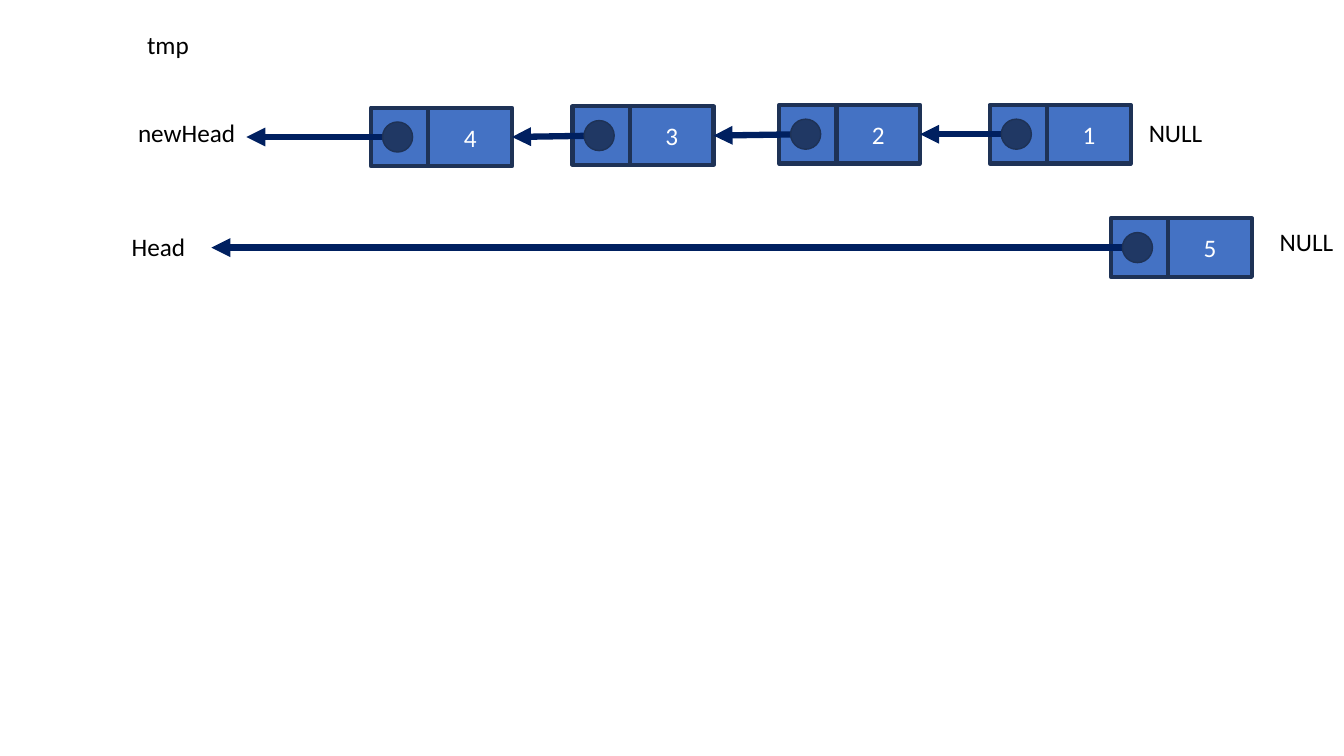
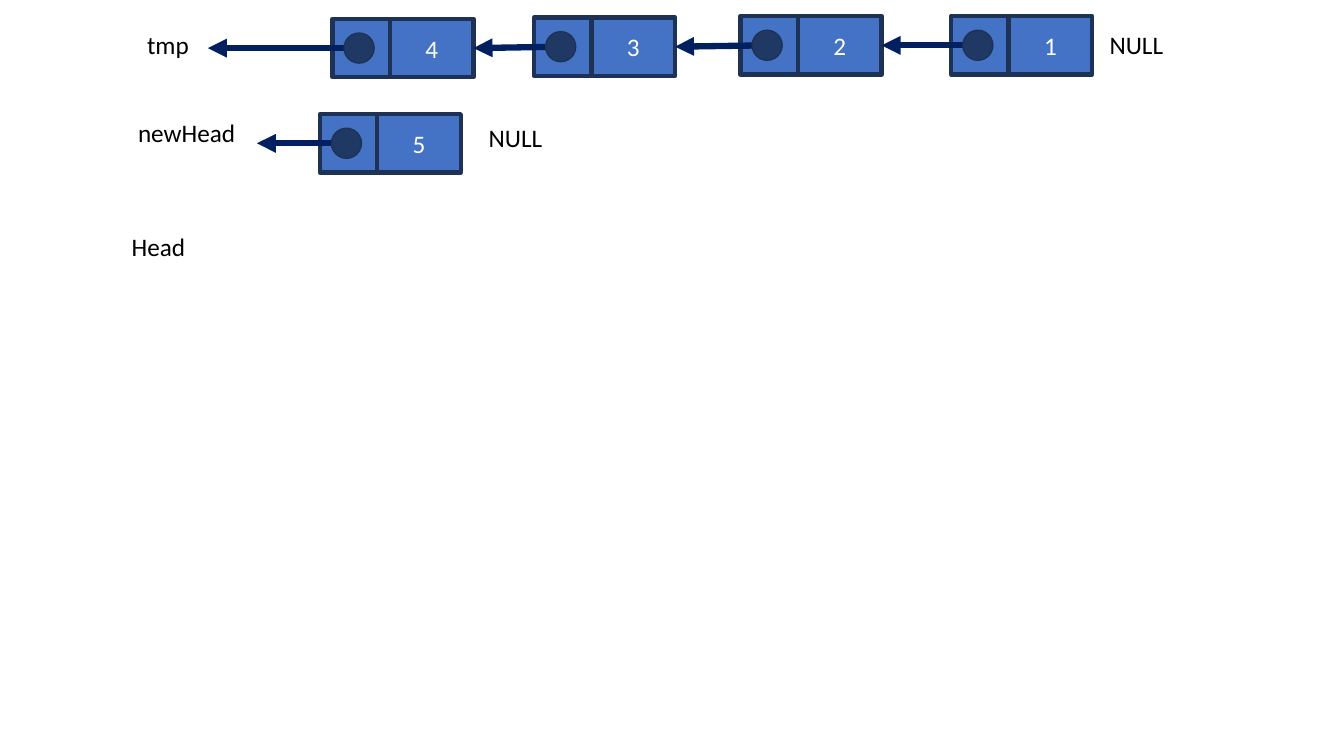
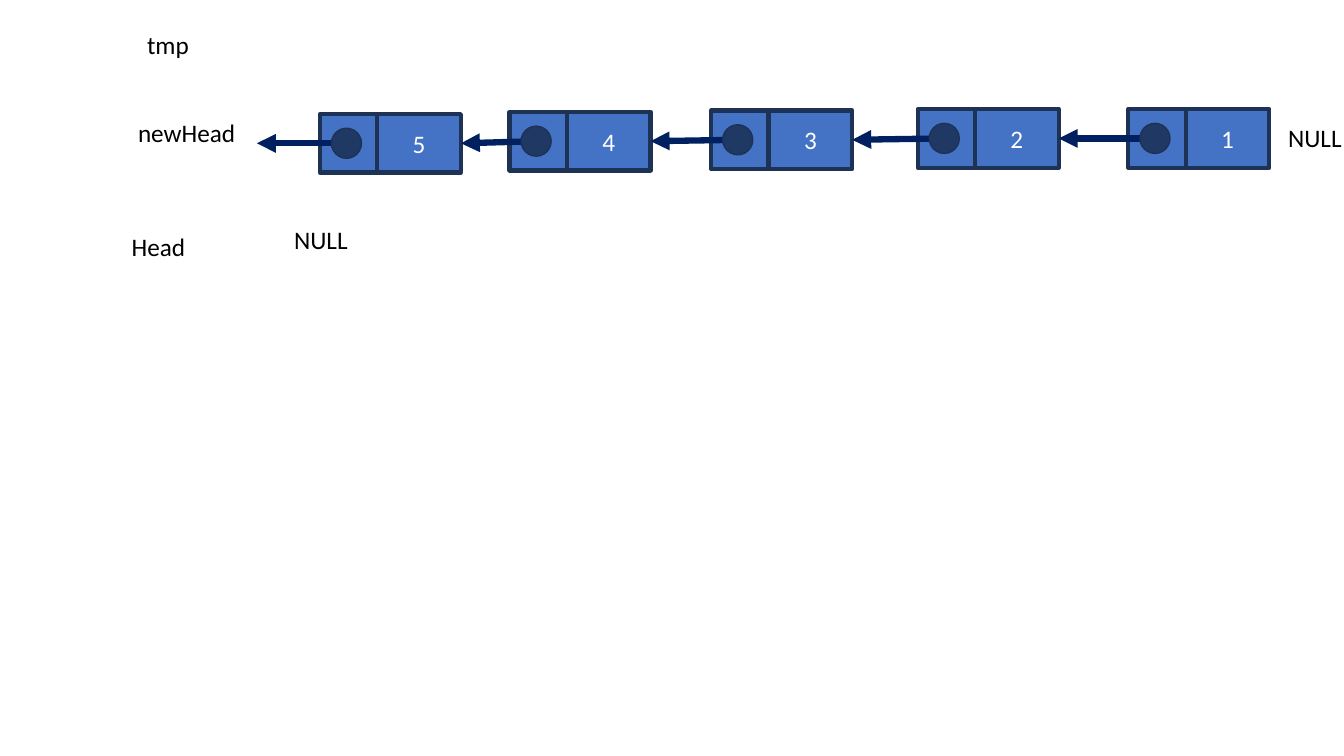
from lxml import etree
from pptx import Presentation
from pptx.dml.color import RGBColor
from pptx.enum.shapes import MSO_CONNECTOR, MSO_SHAPE
from pptx.enum.text import MSO_ANCHOR, MSO_AUTO_SIZE, PP_ALIGN
from pptx.oxml.ns import qn
from pptx.util import Pt

RECTANGLE = MSO_SHAPE.RECTANGLE
OVAL = MSO_SHAPE.OVAL
STRAIGHT = MSO_CONNECTOR.STRAIGHT
MIDDLE = MSO_ANCHOR.MIDDLE
CENTER = PP_ALIGN.CENTER
FIT_SHAPE = MSO_AUTO_SIZE.SHAPE_TO_FIT_TEXT

BLUE, EDGE, NAVY, DOT = "4472C4", "1E3256", "002060", "203864"
BLACK, WHITE = "000000", "FFFFFF"
FONT, SIZE = "Calibri", 18
RIGHT_SIDE = 3

NODE_HEIGHT, POINTER_WIDTH, VALUE_WIDTH = 41.75, 41, 59.75
DOT_SIZE, DOT_CENTER = 21.5, 19
LABEL_HEIGHT = 29

ROW_LABELS = [("Head", 87, 162, 57.5, False),
              ("newHead", 91.5, 80.5, 85, False),
              ("tmp", 98, 17.5, 47, True)]
REVERSED = [("4", 0, 0), ("3", 144, -1), ("2", 291.5, -2), ("1", 442, -2)]
FIVE = [("5", 0, 0)]
FIVE_AND_REVERSED = FIVE + [(value, x + 135.5, y - 1.5) for value, x, y in REVERSED]

PAGES = [
    {"lists": [(REVERSED, 265, 77, 176), (FIVE, 793.5, 156, 151)],
     "nulls": [(813.5, 80.5), (907, 158)]},
    {"lists": [(REVERSED, 237.5, 13.5, 148.5), (FIVE, 228.5, 81.5, 183.5)],
     "nulls": [(785.5, 17.5), (342, 83.5)]},
    {"lists": [(FIVE_AND_REVERSED, 228.5, 81.5, 183.5)],
     "nulls": [(913, 83.5), (203, 156.5)]},
]


def color(value):
    return RGBColor.from_string(value)


def write(frame, text, ink):
    span = frame.paragraphs[0].add_run()
    span.text = text
    span.font.name = FONT
    span.font.size = Pt(SIZE)
    span.font.color.rgb = color(ink)


deck = Presentation()
deck.slide_width, deck.slide_height = Pt(960), Pt(540)

for content in PAGES:
    page = deck.slides.add_slide(deck.slide_layouts[6])

    for nodes, list_left, list_top, arrow_tip in content["lists"]:
        previous = None
        for value, x, y in nodes:
            left, top = list_left + x, list_top + y
            middle = top + NODE_HEIGHT / 2
            center = left + DOT_CENTER
            parts = [
                (RECTANGLE, left, top, POINTER_WIDTH, NODE_HEIGHT, BLUE, 3),
                (RECTANGLE, left + POINTER_WIDTH, top, VALUE_WIDTH, NODE_HEIGHT, BLUE, 3),
                (OVAL, center - DOT_SIZE / 2, middle - DOT_SIZE / 2, DOT_SIZE, DOT_SIZE, DOT, 1),
            ]
            shapes = []
            for kind, part_left, part_top, width, height, fill, weight in parts:
                if kind == OVAL:
                    arrow = page.shapes.add_connector(
                        STRAIGHT, Pt(center), Pt(middle), Pt(arrow_tip), Pt(middle))
                    if previous is not None:
                        arrow.end_connect(previous, RIGHT_SIDE)
                    arrow.line.color.rgb = color(NAVY)
                    arrow.line.width = Pt(4.5)
                    etree.SubElement(arrow.line._get_or_add_ln(), qn("a:tailEnd"), type="triangle")
                    etree.SubElement(arrow._element.spPr, qn("a:effectLst"))
                shape = page.shapes.add_shape(
                    kind, Pt(part_left), Pt(part_top), Pt(width), Pt(height))
                shape.shadow.inherit = False
                shape.fill.solid()
                shape.fill.fore_color.rgb = color(fill)
                shape.line.color.rgb = color(EDGE)
                shape.line.width = Pt(weight)
                shapes.append(shape)
            value_cell = shapes[1]
            value_cell.text_frame.vertical_anchor = MIDDLE
            value_cell.text_frame.paragraphs[0].alignment = CENTER
            write(value_cell.text_frame, value, WHITE)
            previous = value_cell

    null_labels = [("NULL", left, top, 72, True) for left, top in content["nulls"]]
    for text, left, top, width, wrap in ROW_LABELS + null_labels:
        box = page.shapes.add_textbox(Pt(left), Pt(top), Pt(width), Pt(LABEL_HEIGHT))
        box.text_frame.word_wrap = wrap
        box.text_frame.auto_size = FIT_SHAPE
        write(box.text_frame, text, BLACK)

deck.save("out.pptx")
